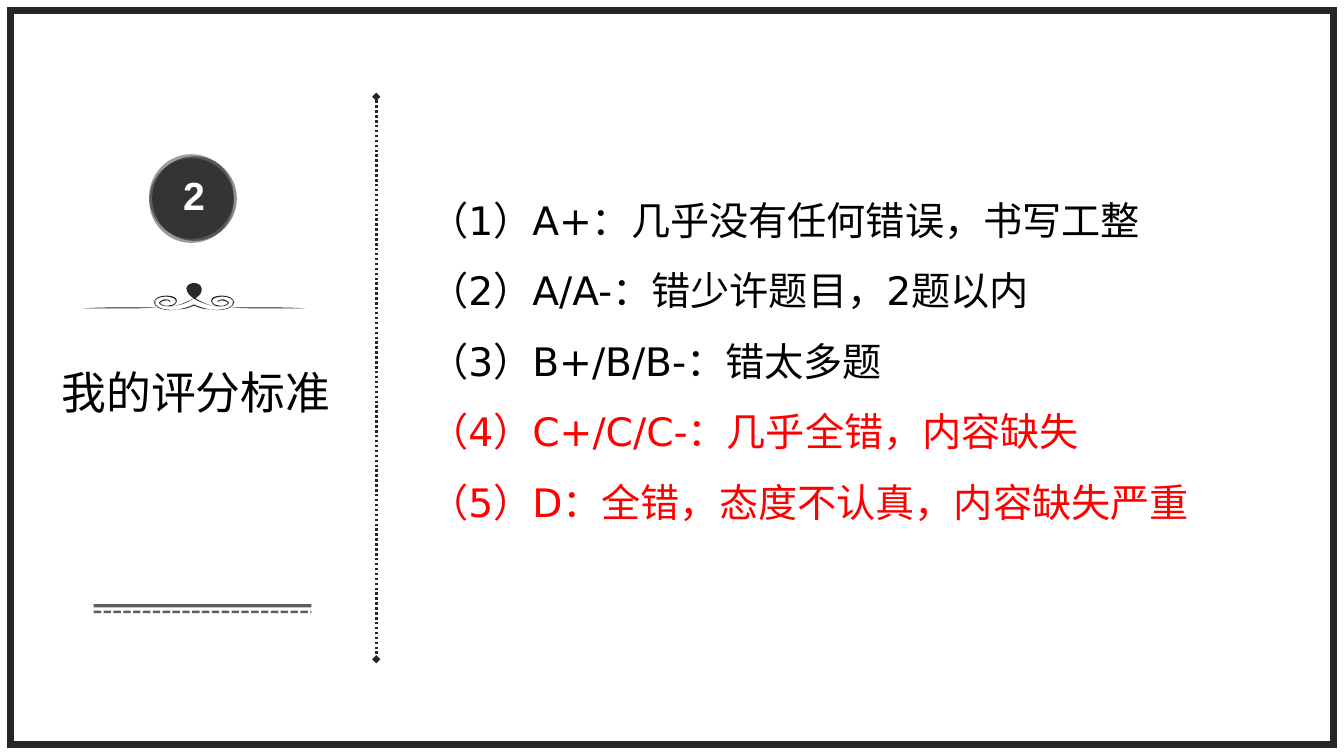
from lxml.etree import SubElement
from pptx import Presentation
from pptx.dml.color import RGBColor
from pptx.enum.dml import MSO_LINE
from pptx.enum.shapes import MSO_CONNECTOR, MSO_SHAPE
from pptx.enum.text import MSO_ANCHOR, MSO_AUTO_SIZE, PP_ALIGN
from pptx.oxml.ns import qn
from pptx.util import Pt

BLACK = RGBColor(0x00, 0x00, 0x00)
WHITE = RGBColor(0xFF, 0xFF, 0xFF)
RED = RGBColor(0xFF, 0x00, 0x00)
CHARCOAL = RGBColor(0x26, 0x26, 0x26)
GRAY = RGBColor(0x40, 0x40, 0x40)

ORNAMENT_UNIT = 0.72
ORNAMENT_AXIS = 192.5

DROP = [
    (192, 296), (188, 293), (185, 290), (185, 286),
    (186, 279), (199, 279), (200, 286),
    (201, 290), (198, 293), (194, 296),
    (199, 299), (206, 303), (215, 304),
    (207, 303), (198, 300), (192, 296),
    (187, 300), (179, 303), (170, 304),
    (179, 303), (186, 299), (192, 296),
]
RIGHT_STROKE = [
    (266, 306), (255, 306), (242, 306), (230, 305),
    (243, 305), (255, 305), (266, 305),
    (278, 305), (290, 305), (303, 306),
    (290, 306), (266, 306), (266, 306),
]
RIGHT_CURL = [
    (192.5, 303), (196, 305), (202, 307), (208, 307),
    (228, 310), (235, 302), (231, 297),
    (229, 294), (221, 292), (214, 294),
    (207, 296), (208, 302), (216, 304),
    (220, 304), (225, 304), (227, 301),
    (228, 300), (225, 298), (222, 297),
    (218, 297), (215, 298), (216, 300),
    (216, 300), (217, 298), (219, 298),
    (223, 298), (227, 300), (226, 301),
    (224, 303), (220, 304), (217, 303),
    (209, 302), (208, 297), (215, 295),
    (221, 293), (229, 295), (231, 298),
    (233, 303), (226, 309), (208, 307),
    (203, 306), (196, 304), (192.5, 302),
]

CRITERIA = [
    ("（1）A+：几乎没有任何错误，书写工整", BLACK),
    ("（2）A/A-：错少许题目，2题以内", BLACK),
    ("（3）B+/B/B-：错太多题", BLACK),
    ("（4）C+/C/C-：几乎全错，内容缺失", RED),
    ("（5）D：全错，态度不认真，内容缺失严重", RED),
]


def set_opacity(shape, percent):
    for color in shape._element.spPr.iter(qn("a:srgbClr")):
        SubElement(color, qn("a:alpha")).set("val", str(percent * 1000))


def fill_plain(shape, color, opacity):
    shape.shadow.inherit = False
    shape.fill.solid()
    shape.fill.fore_color.rgb = color
    shape.line.fill.background()
    set_opacity(shape, opacity)


def add_frame(page):
    frame = page.shapes.add_shape(
        MSO_SHAPE.RECTANGLE, Pt(7.6), Pt(7.6), Pt(944.64), Pt(524.16))
    frame.shadow.inherit = False
    frame.fill.background()
    frame.line.color.rgb = CHARCOAL
    frame.line.width = Pt(5)
    SubElement(frame.line._get_or_add_ln(), qn("a:miter")).set("lim", "800000")


def add_rule(page, start, end, color, width, dash, opacity=100, arrow=None):
    rule = page.shapes.add_connector(
        MSO_CONNECTOR.STRAIGHT, *map(Pt, start + end))
    rule.line.color.rgb = color
    rule.line.width = Pt(width)
    rule.line.dash_style = dash
    if opacity < 100:
        set_opacity(rule, opacity)
    if arrow:
        for tag in ("a:headEnd", "a:tailEnd"):
            SubElement(rule.line._get_or_add_ln(), qn(tag)).set("type", arrow)
    SubElement(rule._element.spPr, qn("a:effectLst"))


def add_disc(page, left, top, opacity):
    disc = page.shapes.add_shape(
        MSO_SHAPE.OVAL, Pt(left), Pt(top), Pt(60.48), Pt(60.48))
    fill_plain(disc, BLACK, opacity)


def mirror(points):
    return [(2 * ORNAMENT_AXIS - x, y) for x, y in points]


def bend_segments(shape):
    segments = list(shape._element.spPr.iter(qn("a:lnTo")))
    for index in range(0, len(segments), 3):
        first, second, third = segments[index:index + 3]
        outline = first.getparent()
        curve = outline.makeelement(qn("a:cubicBezTo"))
        first.addprevious(curve)
        for segment in (first, second, third):
            curve.append(segment[0])
            outline.remove(segment)


def add_flourish(page, points):
    outline = [(Pt(x * ORNAMENT_UNIT), Pt(y * ORNAMENT_UNIT))
               for x, y in points]
    builder = page.shapes.build_freeform(*outline[0])
    builder.add_line_segments(outline[1:])
    flourish = builder.convert_to_shape()
    bend_segments(flourish)
    fill_plain(flourish, BLACK, 84)


def place_text(box, lines, font, size, align, bold=False, spacing=None):
    frame = box.text_frame
    frame.word_wrap = True
    frame.auto_size = MSO_AUTO_SIZE.NONE
    frame.vertical_anchor = MSO_ANCHOR.TOP
    frame.text = "\n".join(text for text, color in lines)
    for para, (text, color) in zip(frame.paragraphs, lines):
        para.alignment = align
        para.line_spacing = spacing
        for span in para.runs:
            span.font.name = font
            span.font.size = Pt(size)
            span.font.bold = bold
            span.font.color.rgb = color


def add_title(page):
    title = page.shapes.title
    title.left, title.top = Pt(36.72), Pt(257.04)
    title.width, title.height = Pt(225.36), Pt(84.96)
    place_text(title, [("我的评分标准", BLACK)], "Arial", 32, PP_ALIGN.JUSTIFY)


def add_badge(page):
    for left, top, opacity in ((106.56, 110.16, 39), (108.72, 111.6, 44),
                               (106.56, 113.04, 40)):
        add_disc(page, left, top, opacity)
    number = page.shapes.add_textbox(
        Pt(97.92), Pt(118.8), Pt(81.36), Pt(41.04))
    place_text(number, [("2", WHITE)], "Arial", 28, PP_ALIGN.CENTER, bold=True)


def add_ornament(page):
    curl = RIGHT_CURL + mirror(RIGHT_CURL)[::-1][1:]
    for points in (DROP, RIGHT_STROKE, mirror(RIGHT_STROKE), curl):
        add_flourish(page, points)


def add_criteria(page):
    box = page.shapes.add_textbox(
        Pt(299.52), Pt(119.52), Pt(577.44), Pt(255.6))
    place_text(box, CRITERIA, "DejaVu Sans", 28, PP_ALIGN.LEFT, spacing=1.5)


def main():
    deck = Presentation()
    deck.slide_width, deck.slide_height = Pt(960), Pt(540)
    page = deck.slides.add_slide(deck.slide_layouts[5])
    add_frame(page)
    add_rule(page, (268.8, 69.12), (268.8, 470.88), CHARCOAL, 1.75,
             MSO_LINE.ROUND_DOT, arrow="diamond")
    add_badge(page)
    add_rule(page, (66.96, 437.04), (222.48, 437.04), GRAY, 1.75,
             MSO_LINE.SQUARE_DOT, opacity=83)
    add_rule(page, (66.96, 432.72), (222.48, 432.72), GRAY, 2.25,
             MSO_LINE.SOLID, opacity=83)
    add_ornament(page)
    add_title(page)
    add_criteria(page)
    deck.save("out.pptx")


if __name__ == "__main__":
    main()
